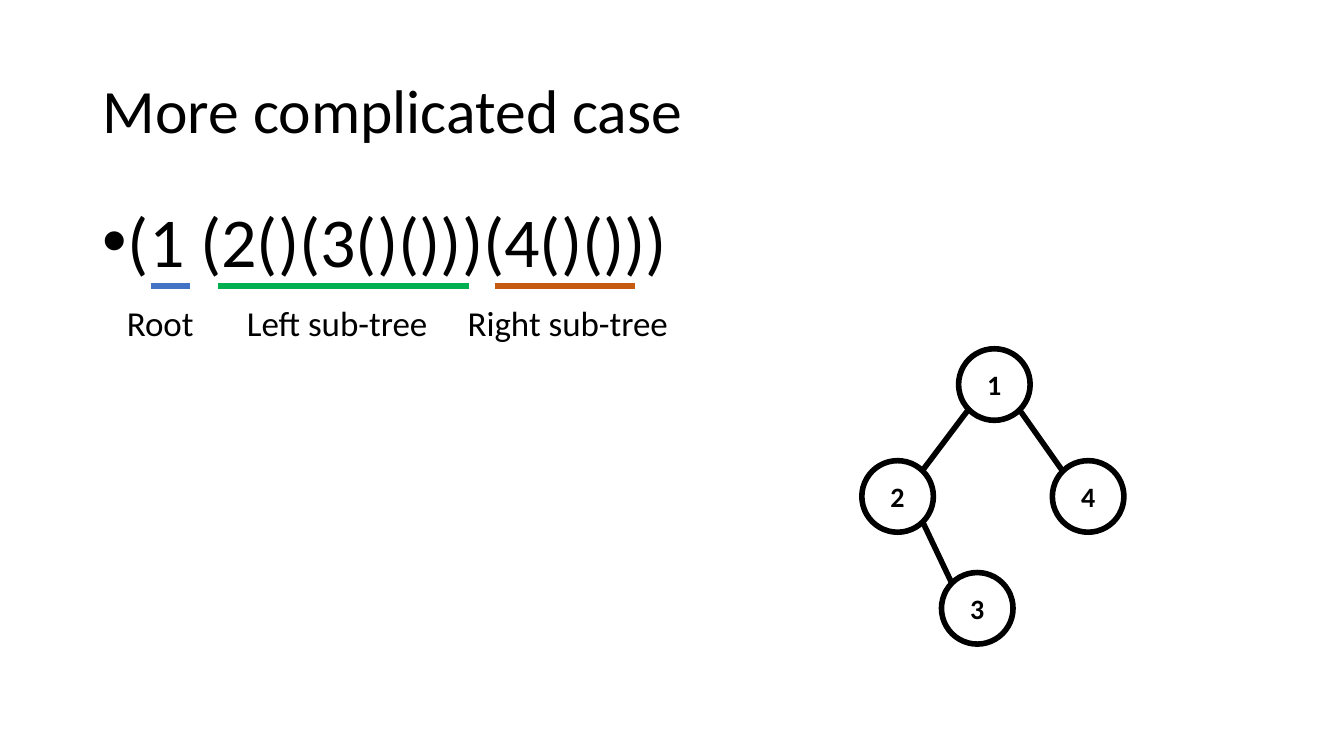
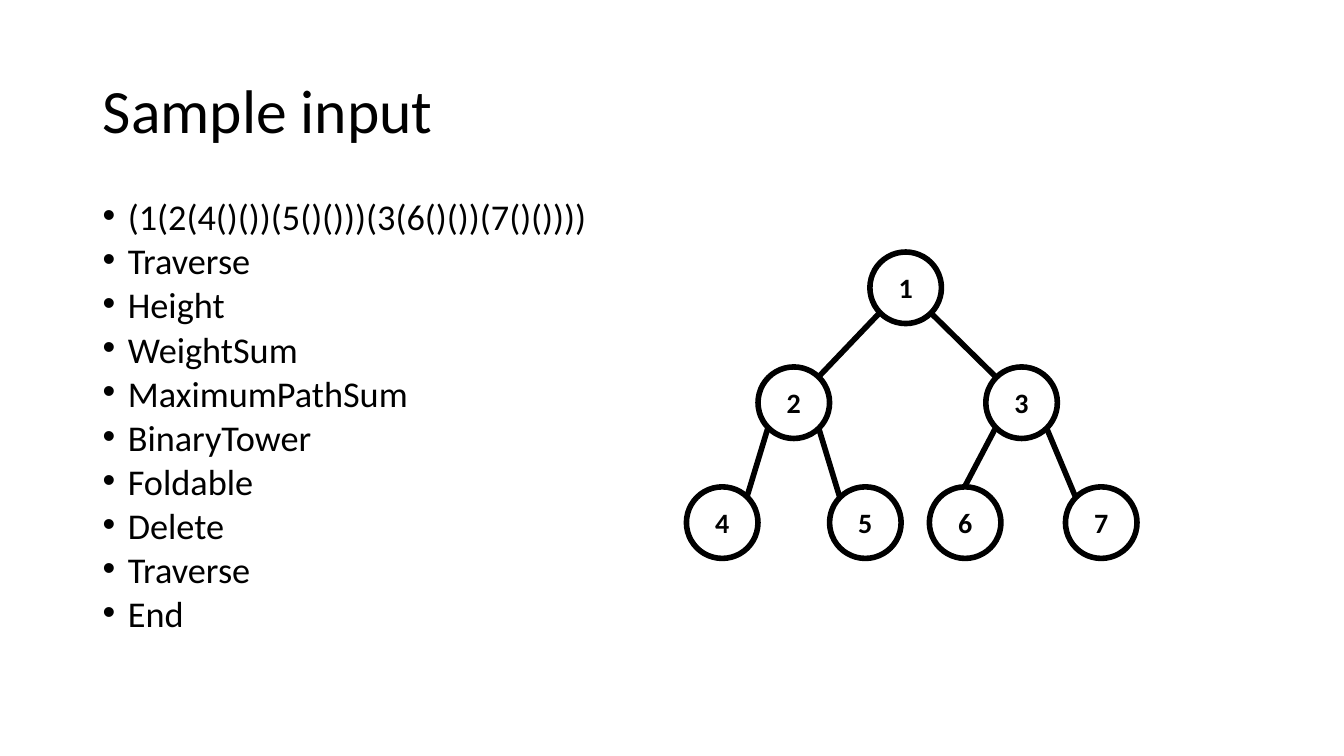
from lxml import etree
from pptx import Presentation
from pptx.dml.color import RGBColor
from pptx.enum.shapes import MSO_CONNECTOR, MSO_SHAPE
from pptx.enum.text import MSO_ANCHOR, MSO_AUTO_SIZE, PP_ALIGN
from pptx.oxml.ns import qn
from pptx.util import Emu, Pt

LINE = MSO_CONNECTOR.STRAIGHT
ELLIPSE = MSO_SHAPE.OVAL
MIDDLE, TOP = MSO_ANCHOR.MIDDLE, MSO_ANCHOR.TOP
LEFT, CENTER = PP_ALIGN.LEFT, PP_ALIGN.CENTER

PX = 9144  # 100 px to the inch
FONT = "Calibri"
COLORS = {"ink": "000000", "root": "4472C4", "left": "00B050", "right": "C55A11"}
LINE_WIDTH = Pt(4)
NODE = 71  # node diameter
CORNER = 25  # offset of a node's diagonal points from its centre
TITLE_BOX = (92, 40, 1150, 145)
BODY_BOX = (92, 200, 1150, 476)
UNDERLINE_Y, LABEL_Y, LABEL_HEIGHT = 284, 294, 52

SLIDES = [
    {
        "title": "More complicated case",
        "lines": ["(1 (2()(3()()))(4()()))"],
        "size": 50, "indent": -35, "line_spacing": 0.9, "gap": 0,
        # underline start and end, label left and width
        "parts": [
            ("Root", "root", 150, 189, 116, 114),
            ("Left sub-tree", "left", 216, 465, 235, 228),
            ("Right sub-tree", "right", 491, 630, 454, 228),
        ],
        "nodes": {1: (951, 346), 2: (855, 457), 3: (934, 568), 4: (1044, 457)},
        "edges": [(1, 2), (2, 3), (1, 4)],
        "top_joined": [],
    },
    {
        "title": "Sample input",
        "lines": ["(1(2(4()())(5()()))(3(6()())(7()())))", "Traverse", "Height",
                  "WeightSum", "MaximumPathSum", "BinaryTower", "Foldable",
                  "Delete", "Traverse", "End"],
        "size": 25.9, "indent": -25, "line_spacing": 0.7, "gap": 9.7,
        "parts": [],
        "nodes": {1: (863, 250), 2: (752, 364), 3: (978, 364), 4: (681, 483),
                  5: (823, 483), 6: (922, 483), 7: (1057, 483)},
        "edges": [(1, 2), (1, 3), (2, 4), (2, 5), (3, 6), (3, 7)],
        "top_joined": [6],
    },
]


def write_lines(shape, lines, size, bold=False, align=LEFT, anchor=TOP, spacing=1.0):
    frame = shape.text_frame
    frame.word_wrap = True
    frame.auto_size = MSO_AUTO_SIZE.NONE
    frame.vertical_anchor = anchor
    for index, line in enumerate(lines):
        paragraph = frame.add_paragraph() if index else frame.paragraphs[0]
        paragraph.alignment = align
        paragraph.line_spacing = spacing
        run = paragraph.add_run()
        run.text = line
        run.font.name = FONT
        run.font.size = Pt(size)
        run.font.bold = bold
        run.font.color.rgb = RGBColor.from_string(COLORS["ink"])
    return frame.paragraphs


def add_line(slide, start, end, color):
    points = [Emu(value * PX) for value in (*start, *end)]
    connector = slide.shapes.add_connector(LINE, *points)
    connector.line.color.rgb = RGBColor.from_string(COLORS[color])
    connector.line.width = LINE_WIDTH
    etree.SubElement(connector._element.spPr, qn("a:effectLst"))


presentation = Presentation()
presentation.slide_width = Emu(12192000)
presentation.slide_height = Emu(750 * PX)
title_only = presentation.slide_layouts[5]

for content in SLIDES:
    slide = presentation.slides.add_slide(title_only)

    # Title
    title = slide.shapes.title
    title.left, title.top, title.width, title.height = [Emu(v * PX) for v in TITLE_BOX]
    write_lines(title, [content["title"]], 44, anchor=MIDDLE, spacing=0.9)

    # Bulleted body
    body = slide.shapes.add_textbox(*[Emu(v * PX) for v in BODY_BOX])
    paragraphs = write_lines(body, content["lines"], content["size"],
                             spacing=content["line_spacing"])
    for index, paragraph in enumerate(paragraphs):
        paragraph.space_before = Pt(content["gap"] if index else 0)
        properties = paragraph._p.get_or_add_pPr()
        properties.set("marL", str(25 * PX))
        properties.set("indent", str(content["indent"] * PX))
        etree.SubElement(properties, qn("a:buFont"), typeface="Arial")
        etree.SubElement(properties, qn("a:buChar"), char="•")

    # Underlined parts of the expression
    for text, color, start, end, left, width in content["parts"]:
        add_line(slide, (start, UNDERLINE_Y), (end, UNDERLINE_Y), color)
        label = slide.shapes.add_textbox(
            *[Emu(v * PX) for v in (left, LABEL_Y, width, LABEL_HEIGHT)])
        write_lines(label, [text], 25)

    # Tree nodes
    centers = {}
    for number, (left, top) in content["nodes"].items():
        node = slide.shapes.add_shape(
            ELLIPSE, *[Emu(v * PX) for v in (left, top, NODE, NODE)])
        node.shadow.inherit = False
        node.fill.background()
        node.line.color.rgb = RGBColor.from_string(COLORS["ink"])
        node.line.width = LINE_WIDTH
        write_lines(node, [str(number)], 20, bold=True, align=CENTER, anchor=MIDDLE)
        centers[number] = (left + NODE // 2, top + NODE // 2)

    # Tree edges
    for parent, child in content["edges"]:
        (parent_x, parent_y), (child_x, child_y) = centers[parent], centers[child]
        side = CORNER if child_x > parent_x else -CORNER
        start = (parent_x + side, parent_y + CORNER)
        end = (child_x - side, child_y - CORNER)
        if child in content["top_joined"]:
            end = (child_x, child_y - NODE // 2)
        add_line(slide, start, end, "ink")

presentation.save("out.pptx")
